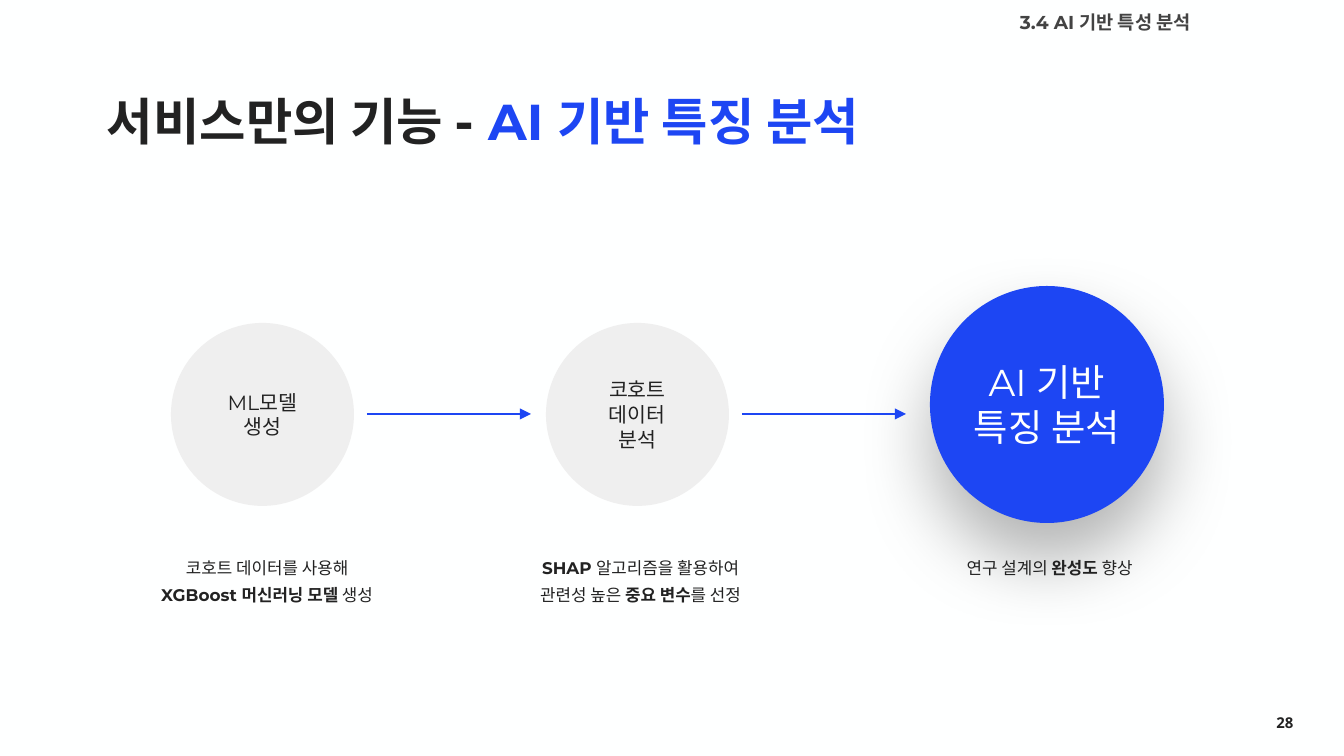
from lxml import etree
from pptx import Presentation
from pptx.dml.color import RGBColor
from pptx.enum.shapes import MSO_CONNECTOR, MSO_SHAPE
from pptx.enum.text import MSO_ANCHOR, PP_ALIGN
from pptx.oxml import parse_xml
from pptx.oxml.ns import nsdecls, qn
from pptx.util import Emu, Pt

COLORS = {"bg": "FEFFFF", "ink": "222222", "gray": "434343",
          "pale": "EFEFEF", "blue": "1D46F3"}


def px(n):
    return Emu(round(n * 914400 / 134.4))


def write(sp, paras, size=9, color="ink", bold=False, font="Montserrat",
          align=PP_ALIGN.CENTER, anchor=MSO_ANCHOR.TOP, spacing=None,
          insets=(0, 4, 0, 4)):
    """Each paragraph is a list of (text, bold, color); "\n" is a line break."""
    tf = sp.text_frame
    tf.word_wrap = True
    tf.vertical_anchor = anchor
    tf.margin_left, tf.margin_top, tf.margin_right, tf.margin_bottom = map(px, insets)
    for i, runs in enumerate(paras):
        p = tf.add_paragraph() if i else tf.paragraphs[0]
        p.alignment = align
        p.line_spacing = spacing
        for text, run_bold, run_color in runs:
            if text == "\n":
                p.add_line_break()
                continue
            r = p.add_run()
            r.text = text
            r.font.size = Pt(size)
            r.font.name = font
            r.font.bold = bold or run_bold
            r.font.color.rgb = RGBColor.from_string(COLORS[run_color or color])


prs = Presentation()
prs.slide_width, prs.slide_height = px(1344), px(756)
s = prs.slides.add_slide(prs.slide_layouts[6])
s.background.fill.solid()
s.background.fill.fore_color.rgb = RGBColor.from_string(COLORS["bg"])

# Page number, section label and title
sp = s.shapes.add_textbox(px(1230), px(703), px(110), px(40))
write(sp, [[("28", True, None)]], size=8, font="Open Sans",
      anchor=MSO_ANCHOR.MIDDLE, insets=(9, 5, 9, 5))
sp = s.shapes.add_textbox(px(1007), px(0), px(423), px(50))
write(sp, [[("3.4 AI 기반 특성 분석", True, None)]], size=10, color="gray",
      align=PP_ALIGN.LEFT, insets=(13, 13, 13, 13))
sp = s.shapes.add_textbox(px(107), px(81), px(1160), px(70))
write(sp, [[("서비스만의 기능 - ", True, None), ("AI 기반 특징 분석", True, "blue")]],
      size=27, align=PP_ALIGN.LEFT, spacing=0.8, insets=(0, 21, 0, 0))

# Step circles: left, top, width, height, fill, text colour, size, lines
circles = [
    (171, 323, 183, 183, "pale", "ink", 11, ["ML모델", "생성"]),
    (546, 323, 183, 183, "pale", "ink", 11, ["코호트 데이터", "분석"]),
    (930, 286, 234, 237, "blue", "bg", 20, ["AI 기반 특징 분석"]),
]
for x, y, w, h, fill, color, size, lines in circles:
    sp = s.shapes.add_shape(MSO_SHAPE.OVAL, px(x), px(y), px(w), px(h))
    sp.shadow.inherit = False
    sp.fill.solid()
    sp.fill.fore_color.rgb = RGBColor.from_string(COLORS[fill])
    sp.line.fill.background()
    write(sp, [[(line, False, None)] for line in lines], size=size, color=color,
          anchor=MSO_ANCHOR.MIDDLE, insets=(9, 5, 9, 5))

# Soft shadow under the last circle
effects = sp._element.spPr.find(qn("a:effectLst"))
effects.append(parse_xml(
    f'<a:outerShdw {nsdecls("a")} blurRad="{Pt(40)}" dist="{Pt(20)}" dir="5400000" '
    'algn="ctr" rotWithShape="0"><a:srgbClr val="000000"><a:alpha val="29000"/>'
    '</a:srgbClr></a:outerShdw>'))

# Arrows between the circles
for x in (367, 742):
    line = s.shapes.add_connector(MSO_CONNECTOR.STRAIGHT, px(x), px(414), px(x + 164), px(414))
    line.line.width = Pt(1)
    line.line.color.rgb = RGBColor.from_string(COLORS["blue"])
    etree.SubElement(line.line._get_or_add_ln(), qn("a:tailEnd"), type="triangle")
    etree.SubElement(line._element.spPr, qn("a:effectLst"))

# Captions: left, width, runs
captions = [
    (128, 278, [("코호트 데이터를 사용해", False, None), ("\n", False, None),
                ("XGBoost 머신러닝 모델", True, None), (" 생성", False, None)]),
    (521, 239, [("SHAP", True, None), (" 알고리즘을 활용하여 관련성 높은 ", False, None),
                ("중요 변수", True, None), ("를 선정", False, None)]),
    (930, 239, [("연구 설계의 ", False, None), ("완성도 ", True, None),
                ("향상", False, None)]),
]
for x, w, runs in captions:
    sp = s.shapes.add_textbox(px(x), px(548), px(w), px(68))
    write(sp, [runs], spacing=1.3)

prs.save("out.pptx")
